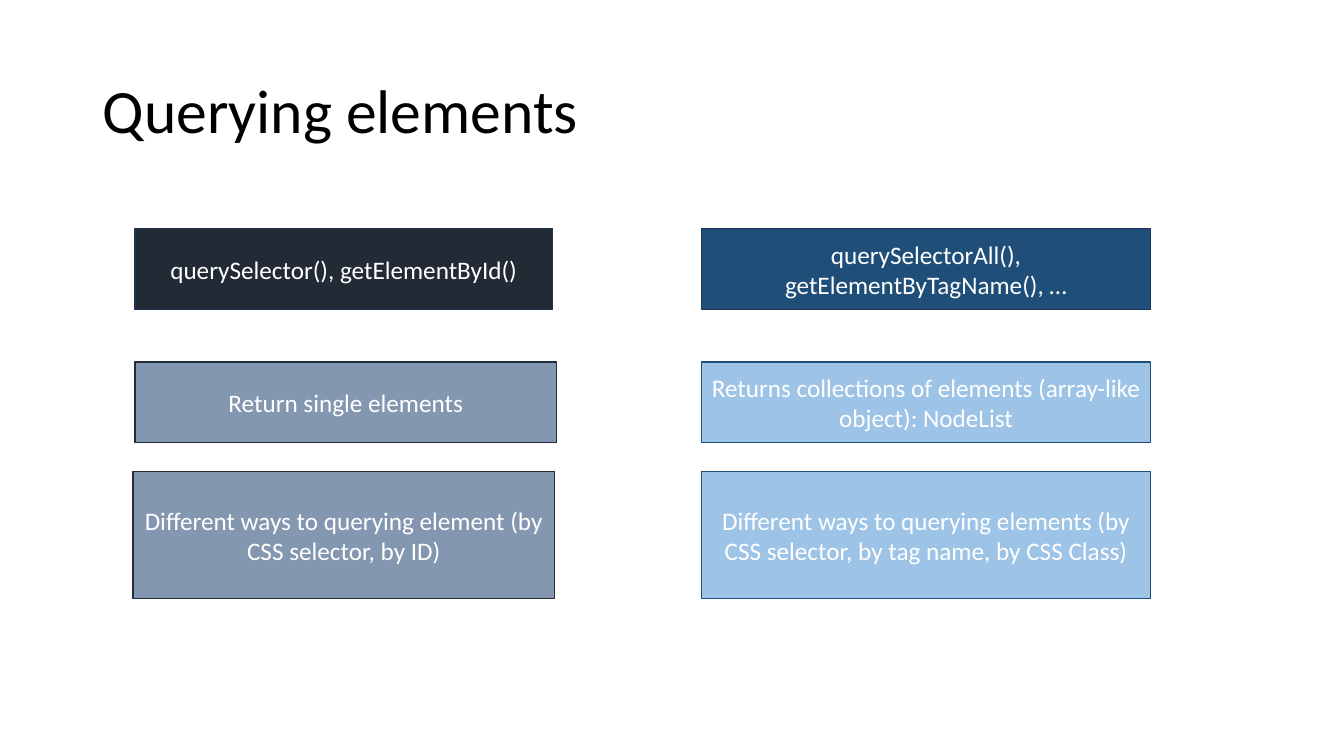
from pptx import Presentation
from pptx import util as u
from pptx.dml.color import RGBColor
from pptx.enum import shapes, text


def rgb(value):
    return RGBColor.from_string(value)


class Deck:
    """Hold the text style and the current slide."""

    font = "Calibri"

    def __init__(self, prs):
        self.slide = prs.slides.add_slide(prs.slide_layouts[5])

    def place(self, sp, box):
        sp.left, sp.top, sp.width, sp.height = (u.Inches(n) for n in box)

    def add_words(self, sp, words, size, color, align):
        tf = sp.text_frame
        tf.word_wrap = True
        tf.auto_size = text.MSO_AUTO_SIZE.NONE
        tf.vertical_anchor = text.MSO_ANCHOR.MIDDLE
        p = tf.paragraphs[0]
        p.alignment = align
        r = p.add_run()
        r.text = words
        r.font.name = self.font
        r.font.size = u.Pt(size)
        r.font.color.rgb = rgb(color)
        return p

    def title(self, words, box):
        sp = self.slide.shapes.title
        self.place(sp, box)
        p = self.add_words(sp, words, 44, "000000", text.PP_ALIGN.LEFT)
        p.line_spacing = 0.9

    def box(self, words, box, fill, line):
        sp = self.slide.shapes.add_shape(
            shapes.MSO_SHAPE.RECTANGLE, *(u.Inches(n) for n in box))
        sp.shadow.inherit = False
        sp.fill.solid()
        sp.fill.fore_color.rgb = rgb(fill)
        sp.line.color.rgb = rgb(line)
        sp.line.width = u.Pt(1)
        self.add_words(sp, words, 18, "FFFFFF", text.PP_ALIGN.CENTER)


ROWS = [(2.27, 0.8), (3.59, 0.8), (4.68, 1.26)]
HEAD_LINE = "1E3256"
COLUMNS = [
    ("222A35", "8497B0", [
        (1.34, 4.14, "querySelector(), getElementById()"),
        (1.34, 4.18, "Return single elements"),
        (1.32, 4.18, "Different ways to querying element (by CSS selector, by ID)"),
    ]),
    ("1F4E79", "9DC3E6", [
        (6.96, 4.45, "querySelectorAll(), getElementByTagName(), …"),
        (6.96, 4.45, "Returns collections of elements (array-like object): NodeList"),
        (6.96, 4.45, "Different ways to querying elements "
                     "(by CSS selector, by tag name, by CSS Class)"),
    ]),
]


def main():
    prs = Presentation()
    prs.slide_width = u.Inches(13.33)
    prs.slide_height = u.Inches(7.5)
    deck = Deck(prs)
    deck.title("Querying elements", (0.92, 0.4, 11.5, 1.45))
    for dark, light, cells in COLUMNS:
        for i, ((left, width, words), (top, height)) in enumerate(zip(cells, ROWS)):
            fill, line = (light, dark) if i else (dark, HEAD_LINE)
            deck.box(words, (left, top, width, height), fill, line)
    prs.save("out.pptx")


if __name__ == "__main__":
    main()
